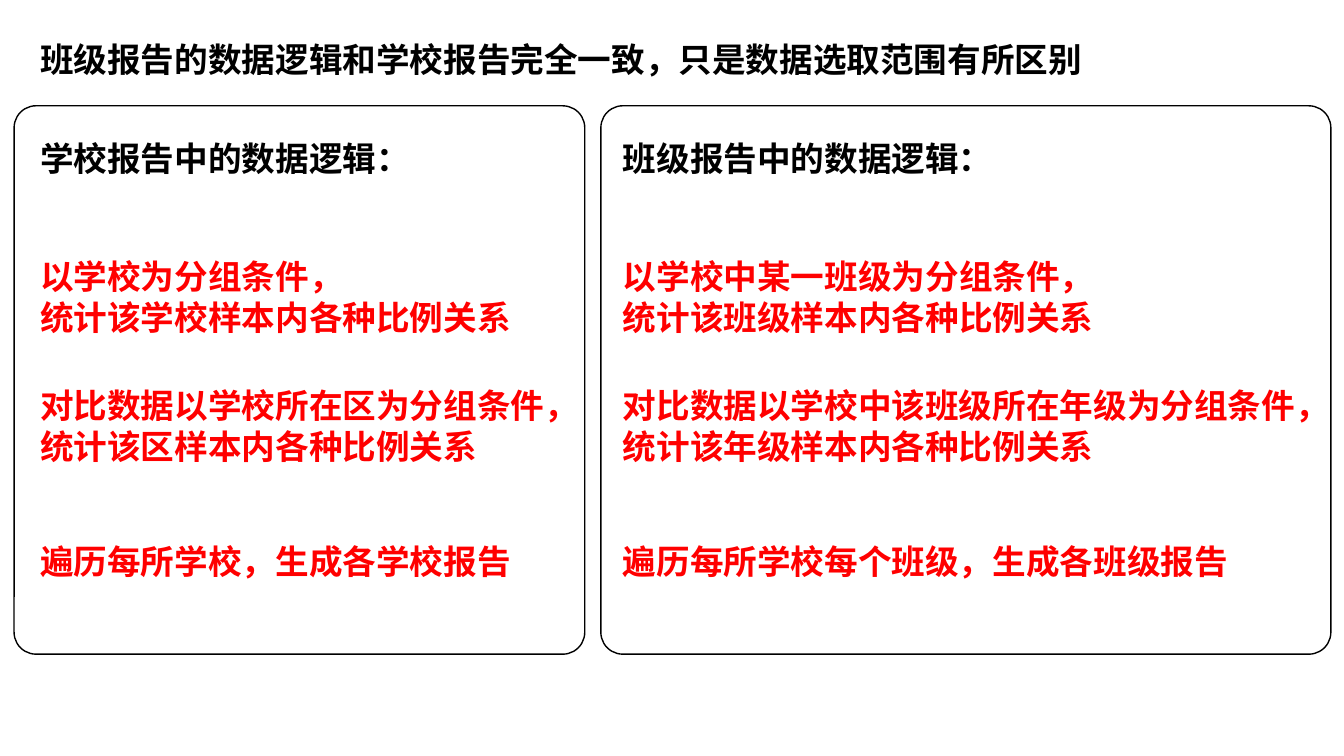
from dataclasses import dataclass

from lxml import etree
from pptx import Presentation
from pptx.dml.color import RGBColor
from pptx.enum.shapes import MSO_SHAPE
from pptx.enum.text import MSO_AUTO_SIZE
from pptx.oxml.ns import qn
from pptx.util import Inches, Pt

ROUNDED = MSO_SHAPE.ROUNDED_RECTANGLE
GROW = MSO_AUTO_SIZE.SHAPE_TO_FIT_TEXT


@dataclass(frozen=True)
class Theme:
    font: str = "Noto Sans CJK SC"
    size: Pt = Pt(24)
    leading: Pt = Pt(29)
    black: RGBColor = RGBColor(0, 0, 0)
    red: RGBColor = RGBColor(255, 0, 0)


theme = Theme()
deck = Presentation()
deck.slide_width = Inches(13.33)
deck.slide_height = Inches(7.5)
page = deck.slides.add_slide(deck.slide_layouts[6])


def add_text(text, left, top, width, color=theme.black, wrap=True):
    """Add a bold text box with one paragraph for each line of text."""
    lines = text.split("\n")
    height = 0.1 + 0.4 * len(lines)
    box = page.shapes.add_textbox(Inches(left), Inches(top), Inches(width), Inches(height))
    frame = box.text_frame
    frame.word_wrap = wrap
    frame.auto_size = GROW
    for index, line in enumerate(lines):
        para = frame.paragraphs[0] if index == 0 else frame.add_paragraph()
        para.line_spacing = theme.leading
        span = para.add_run()
        span.text = line
        span.font.size = theme.size
        span.font.bold = True
        span.font.color.rgb = color
        span.font.name = theme.font
        east_asian = etree.SubElement(span.font._element, qn("a:ea"))
        east_asian.set("typeface", theme.font)


add_text("班级报告的数据逻辑和学校报告完全一致，只是数据选取范围有所区别",
         0.3, 0.33, 10.64, wrap=False)

heading_top = 1.32
step_tops = (2.49, 3.77, 5.31)
# Panel left and width, text left, heading, then (step, width) pairs
panels = [
    (0.14, 5.66, 0.3, "学校报告中的数据逻辑：", [
        ("以学校为分组条件，\n统计该学校样本内各种比例关系", 5.27),
        ("对比数据以学校所在区为分组条件，\n统计该区样本内各种比例关系", 6.07),
        ("遍历每所学校，生成各学校报告", 6.07),
    ]),
    (5.96, 7.24, 6.08, "班级报告中的数据逻辑：", [
        ("以学校中某一班级为分组条件，\n统计该班级样本内各种比例关系", 5.35),
        ("对比数据以学校中该班级所在年级为分组条件，\n统计该年级样本内各种比例关系", 6.97),
        ("遍历每所学校每个班级，生成各班级报告", 6.23),
    ]),
]

for panel_left, panel_width, text_left, heading, steps in panels:
    add_text(heading, text_left, heading_top, 4.06)
    for (step, step_width), step_top in zip(steps, step_tops):
        add_text(step, text_left, step_top, step_width, color=theme.red)

    panel = page.shapes.add_shape(
        ROUNDED, Inches(panel_left), Inches(1.05), Inches(panel_width), Inches(5.44))
    panel.adjustments[0] = 0.04
    panel.shadow.inherit = False
    panel.fill.background()
    panel.line.color.rgb = theme.black
    panel.line.width = Pt(1)

deck.save("out.pptx")
